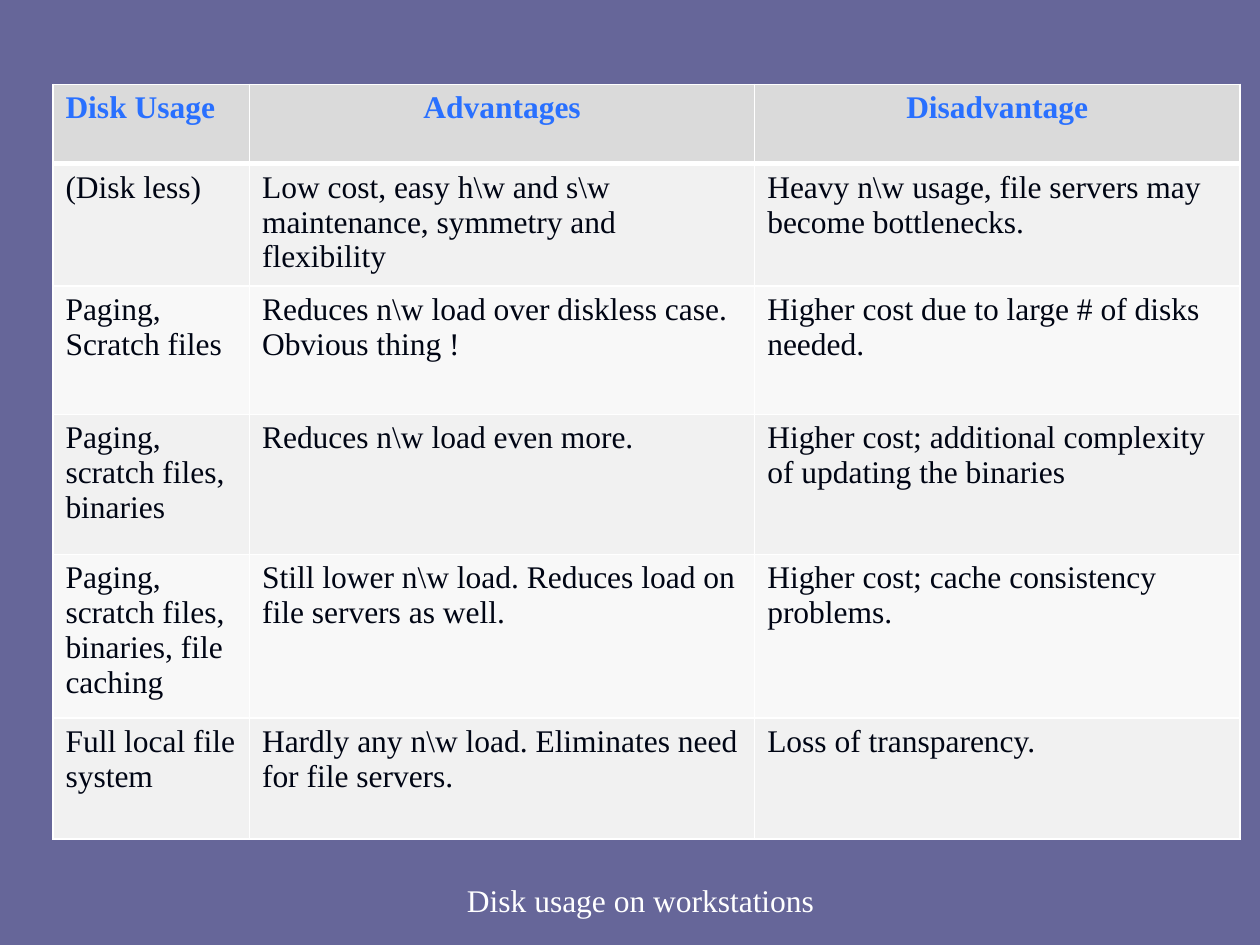
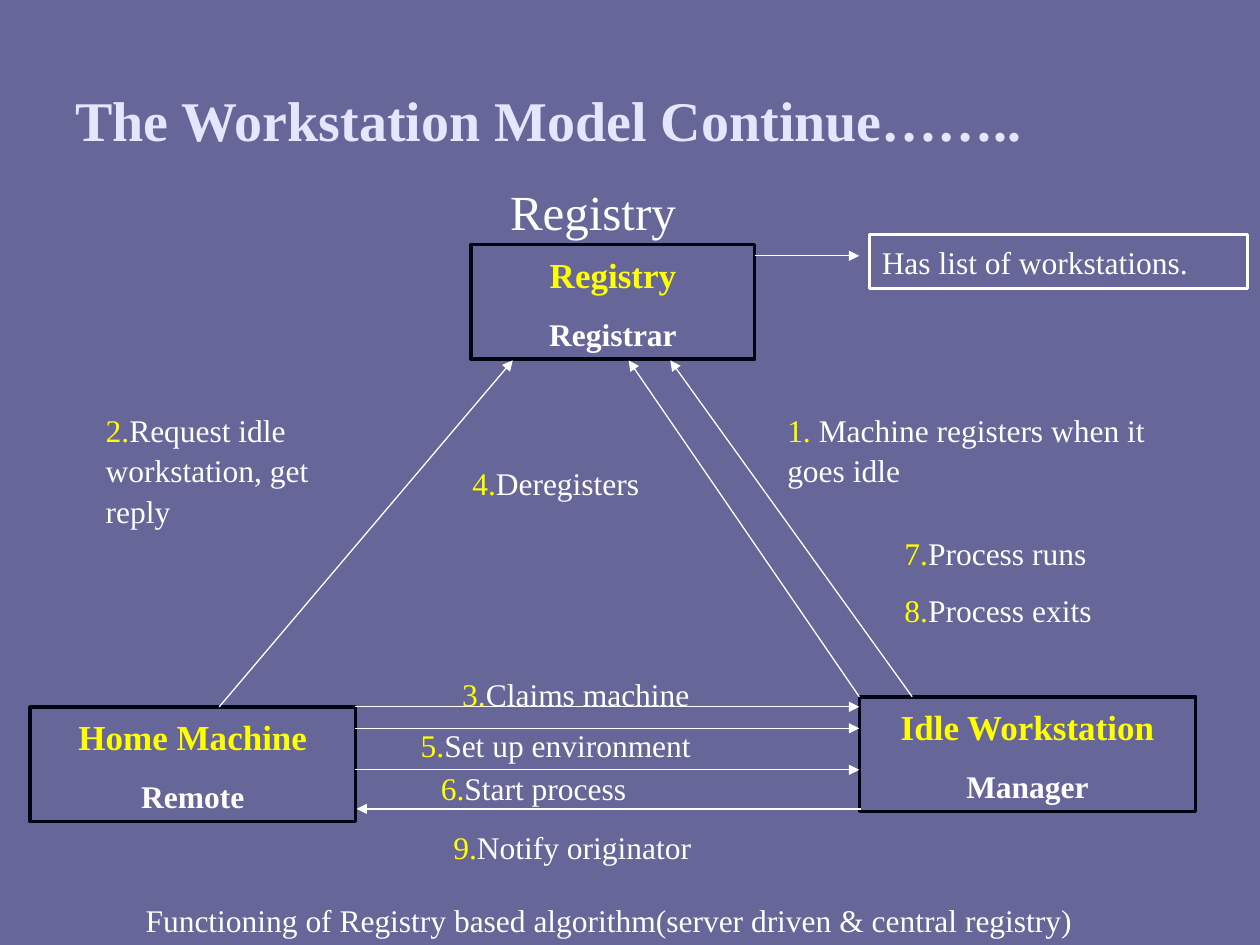
from lxml import etree
from pptx import Presentation
from pptx.dml.color import RGBColor
from pptx.enum import shapes, text
from pptx.oxml import ns
from pptx.util import Inches, Pt

FONT = "Times New Roman"
SLATE = RGBColor(0x66, 0x66, 0x99)
WHITE = RGBColor(0xFF, 0xFF, 0xFF)
INK = RGBColor(0x00, 0x05, 0x14)
YELLOW = RGBColor(0xFF, 0xFF, 0x00)
LAVENDER = RGBColor(0xE5, 0xE5, 0xFF)
BLUE = RGBColor(0x29, 0x70, 0xFF)
HEADER_GREY = RGBColor(0xDA, 0xDA, 0xDA)
ROW_GREYS = (RGBColor(0xF8, 0xF8, 0xF8), RGBColor(0xF1, 0xF1, 0xF1))
LEFT, CENTER = text.PP_ALIGN.LEFT, text.PP_ALIGN.CENTER
TOP, MIDDLE = text.MSO_ANCHOR.TOP, text.MSO_ANCHOR.MIDDLE

DISK_USAGE = [
    ("Disk Usage", "Advantages", "Disadvantage"),
    ("(Disk less)",
     "Low cost, easy h\\w and s\\w maintenance, symmetry and flexibility",
     "Heavy n\\w usage, file servers may become bottlenecks."),
    ("Paging,\nScratch files",
     "Reduces n\\w load over diskless case.\nObvious thing !",
     "Higher cost due to large # of disks needed."),
    ("Paging, scratch files, binaries",
     "Reduces n\\w load even more.",
     "Higher cost; additional complexity of updating the binaries"),
    ("Paging, scratch files, binaries, file caching",
     "Still lower n\\w load. Reduces load on file servers as well.",
     "Higher cost; cache consistency problems."),
    ("Full local file system",
     "Hardly any n\\w load. Eliminates need for file servers.",
     "Loss of transparency."),
]
COLUMN_WIDTHS = (1.56, 4.01, 3.85)
ROW_HEIGHTS = (0.63, 0.97, 1.02, 1.11, 1.3, 0.96)

MACHINES = [
    (3.74, 1.94, 2.25, "Registry", "Registrar"),
    (0.24, 5.61, 2.58, "Home Machine", "Remote"),
    (6.82, 5.53, 2.67, "Idle Workstation", "Manager"),
]
ARROWS = [
    (5.99, 2.03, 6.82, 2.03),
    (7.24, 5.53, 5.32, 2.86),
    (1.74, 5.61, 4.07, 2.86),
    (6.82, 5.53, 4.99, 2.86),
    (2.82, 5.61, 6.82, 5.61),
    (2.82, 5.78, 6.82, 5.78),
    (2.82, 6.11, 6.82, 6.11),
    (6.83, 6.42, 2.83, 6.42),
]
STEPS = [
    (6.15, 3.19, 3.17, 0.7, [("1. ", "Machine registers when it goes idle")]),
    (0.74, 3.19, 2.08, 1, [("2.", "Request idle workstation, get reply")]),
    (3.57, 5.29, 2.25, 0.4, [("3.", "Claims machine")]),
    (3.65, 3.61, 1.58, 0.4, [("4.", "Deregisters")]),
    (3.24, 5.69, 3.08, 0.4, [("5.", "Set up environment")]),
    (3.4, 6.03, 2.92, 0.4, [("6.", "Start process")]),
    (7.08, 4.17, 2.25, 0.85, [("7.", "Process runs"), ("8.", "Process exits")]),
    (3.5, 6.5, 2.33, 0.4, [("9.", "Notify originator")]),
]


class SlideBuilder:
    def __init__(self, deck):
        self.deck = deck
        self.page = None

    def new_page(self):
        self.page = self.deck.slides.add_slide(self.deck.slide_layouts[6])
        self.page.background.fill.solid()
        self.page.background.fill.fore_color.rgb = SLATE

    def style(self, span, size=18, color=WHITE, bold=False):
        span.font.name = FONT
        span.font.size = Pt(size)
        span.font.bold = bold
        span.font.color.rgb = color

    def fill_text(self, box, paras, align=LEFT, anchor=TOP):
        frame = box.text_frame
        frame.word_wrap = True
        frame.vertical_anchor = anchor
        for index, spans in enumerate(paras):
            para = frame.add_paragraph() if index else frame.paragraphs[0]
            para.alignment = align
            para.line_spacing = 1.07
            if index:
                para.space_before = Pt(9.5)
            for words, *look in spans:
                span = para.add_run()
                span.text = words
                self.style(span, *look)

    def label(self, left, top, width, height, paras, align=LEFT, anchor=TOP):
        box = self.page.shapes.add_textbox(
            Inches(left), Inches(top), Inches(width), Inches(height))
        self.fill_text(box, paras, align, anchor)

    def caption(self, top, width, words):
        self.label(0.92, top, width, 0.42, [[(words,)]], CENTER)

    def frame(self, left, top, width, height, line_color, paras, align=LEFT):
        box = self.page.shapes.add_shape(
            shapes.MSO_SHAPE.RECTANGLE,
            Inches(left), Inches(top), Inches(width), Inches(height))
        box.shadow.inherit = False
        box.fill.background()
        box.line.color.rgb = line_color
        box.line.width = Pt(2)
        self.fill_text(box, paras, align)

    def arrow(self, *ends):
        connector = self.page.shapes.add_connector(
            shapes.MSO_CONNECTOR.STRAIGHT, *map(Inches, ends))
        connector.line.color.rgb = WHITE
        connector.line.width = Pt(0.75)
        properties = connector._element.spPr
        outline = properties.find(ns.qn("a:ln"))
        etree.SubElement(outline, ns.qn("a:tailEnd"), type="triangle")
        etree.SubElement(properties, ns.qn("a:effectLst"))

    def cell_borders(self, cell, bottom, top):
        properties = cell._tc.get_or_add_tcPr()
        widths = {"lnL": 1, "lnR": 1, "lnT": top, "lnB": bottom}
        for index, (side, width) in enumerate(widths.items()):
            edge = etree.Element(ns.qn(f"a:{side}"), w=str(Pt(width)))
            fill = etree.SubElement(edge, ns.qn("a:solidFill"))
            etree.SubElement(fill, ns.qn("a:srgbClr"), val=str(WHITE))
            properties.insert(index, edge)

    def table(self, left, top, widths, heights, rows):
        grid = self.page.shapes.add_table(
            len(rows), len(widths), Inches(left), Inches(top),
            Inches(sum(widths)), Inches(sum(heights))).table
        for column, width in zip(grid.columns, widths):
            column.width = Inches(width)
        for r, (height, words) in enumerate(zip(heights, rows)):
            grid.rows[r].height = Inches(height)
            header = r == 0
            for c, content in enumerate(words):
                cell = grid.cell(r, c)
                cell.fill.solid()
                cell.fill.fore_color.rgb = HEADER_GREY if header else ROW_GREYS[r % 2]
                self.cell_borders(cell, 3 if header else 1, 3 if r == 1 else 1)
                cell.text_frame.text = content
                for para in cell.text_frame.paragraphs:
                    para.alignment = CENTER if header and c else LEFT
                    for span in para.runs:
                        self.style(span, 18, BLUE if header else INK, header)


def disk_usage_slide(builder):
    builder.new_page()
    builder.table(0.42, 0.67, COLUMN_WIDTHS, ROW_HEIGHTS, DISK_USAGE)
    builder.caption(6.92, 8.33, "Disk usage on workstations")


def registry_slide(builder):
    builder.new_page()
    builder.label(0.5, 0.3, 9, 1.25,
                  [[("The Workstation Model Continue……..", 32, LAVENDER, True)]],
                  anchor=MIDDLE)
    builder.label(3.95, 1.36, 1.7, 0.55, [[("Registry", 28)]])
    for left, top, width, name, role in MACHINES:
        builder.frame(left, top, width, 0.91, INK,
                      [[(name, 20, YELLOW, True)], [(role, 18, WHITE, True)]], CENTER)
    builder.frame(6.9, 1.86, 3, 0.43, WHITE, [[("Has list of workstations.",)]])
    for ends in ARROWS:
        builder.arrow(*ends)
    for left, top, width, height, steps in STEPS:
        builder.label(left, top, width, height,
                      [[(number, 18, YELLOW), (action,)] for number, action in steps])
    builder.caption(7.08, 7.83, "Functioning of Registry based algorithm"
                                "(server driven & central registry)")


def main():
    deck = Presentation()
    deck.slide_width, deck.slide_height = Inches(10), Inches(7.5)
    builder = SlideBuilder(deck)
    disk_usage_slide(builder)
    registry_slide(builder)
    deck.save("out.pptx")


if __name__ == "__main__":
    main()
